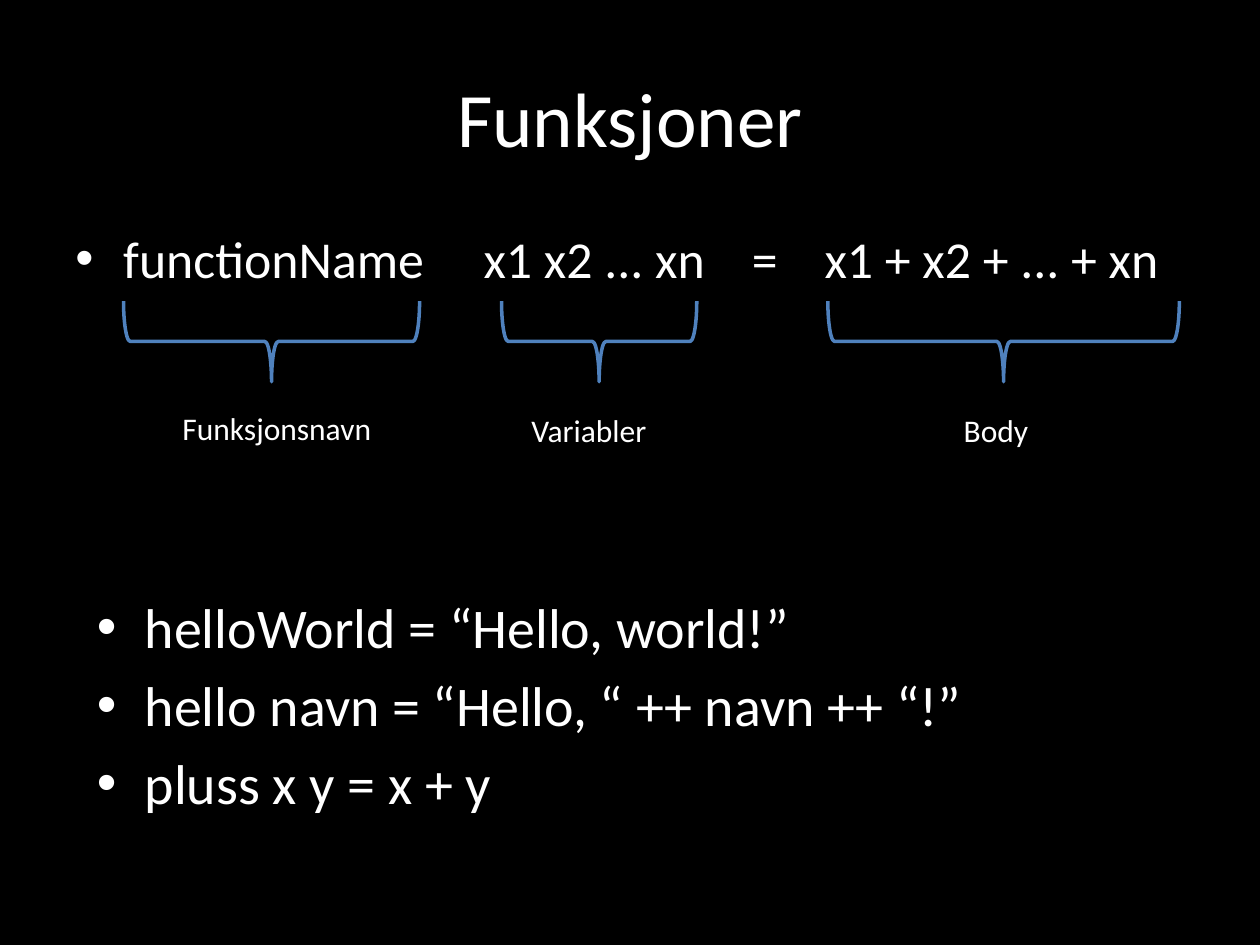
import pptx
import pptx.util
import pptx.dml.color
import pptx.enum.shapes
import pptx.enum.text
import pptx.oxml.ns
import lxml.etree

Inches, Pt = pptx.util.Inches, pptx.util.Pt
ALIGN, ANCHOR = pptx.enum.text.PP_ALIGN, pptx.enum.text.MSO_ANCHOR

# Content
TITLE = "Funksjoner"
SIGNATURE = ["functionName", "x1 x2 ... xn", "=", "x1 + x2 + ... + xn"]
SIGNATURE_GAPS = [27, 20, 20]  # extra points after each part
EXAMPLES = [
    "helloWorld = “Hello, world!”",
    "hello navn = “Hello, “ ++ navn ++ “!”",
    "pluss x y = x + y",
]
# Brace left and width, then label, its left, top and width
PARTS = [
    (0.98, 2.35, "Funksjonsnavn", 1.35, 3.2, 1.8),
    (3.98, 1.55, "Variabler", 4.12, 3.21, 1.4),
    (6.57, 2.79, "Body", 7.55, 3.21, 0.89),
]
BRACE_MIDDLE, BRACE_DEPTH = 2.71, 0.64
WHITE, BLACK, BLUE = "FFFFFF", "000000", "4F81BD"


def color(value):
    return pptx.dml.color.RGBColor.from_string(value)


def add_run(paragraph, text, size):
    run = paragraph.add_run()
    run.text = text
    for name, value in {"name": "Calibri", "size": Pt(size)}.items():
        setattr(run.font, name, value)
    run.font.color.rgb = color(WHITE)
    return run


def add_frame(left, top, width, height, **settings):
    box = slide.shapes.add_textbox(*map(Inches, (left, top, width, height)))
    frame = box.text_frame
    for name, value in {"word_wrap": True, **settings}.items():
        setattr(frame, name, value)
    return frame


def add_bullet(paragraph, size):
    paragraph.space_before = Pt(size * 0.2)
    properties = paragraph._p.get_or_add_pPr()
    properties.set("marL", str(Inches(0.38)))
    properties.set("indent", str(-Inches(0.38)))
    for tag, name, value in (("a:buFont", "typeface", "Arial"), ("a:buChar", "char", "•")):
        lxml.etree.SubElement(properties, pptx.oxml.ns.qn(tag)).set(name, value)


presentation = pptx.Presentation()
presentation.slide_width, presentation.slide_height = Inches(10), Inches(7.5)
slide = presentation.slides.add_slide(presentation.slide_layouts[6])
slide.background.fill.solid()
slide.background.fill.fore_color.rgb = color(BLACK)

# Title
paragraph = add_frame(0.5, 0.3, 9, 1.25, vertical_anchor=ANCHOR.MIDDLE).paragraphs[0]
paragraph.alignment = ALIGN.CENTER
add_run(paragraph, TITLE, 44)

# Function signature, with widened spaces between its parts
paragraph = add_frame(0.5, 1.75, 9, 0.81).paragraphs[0]
add_bullet(paragraph, 29.6)
for index, part in enumerate(SIGNATURE):
    if index:
        space = add_run(paragraph, " ", 29.6)
        space.font._element.set("spc", str(SIGNATURE_GAPS[index - 1] * 100))
    add_run(paragraph, part, 29.6)

# Braces and their labels
for left, width, label, label_left, label_top, label_width in PARTS:
    # A quarter turn swaps the sides around the shared middle
    brace = slide.shapes.add_shape(
        pptx.enum.shapes.MSO_SHAPE.RIGHT_BRACE,
        Inches(left + (width - BRACE_DEPTH) / 2), Inches(BRACE_MIDDLE - width / 2),
        Inches(BRACE_DEPTH), Inches(width))
    brace.rotation = 90
    brace.shadow.inherit = False
    brace.fill.background()
    brace.line.color.rgb = color(BLUE)
    brace.line.width = Pt(2)
    frame = add_frame(label_left, label_top, label_width, 0.4)
    add_run(frame.paragraphs[0], label, 18)

# Examples
frame = add_frame(0.67, 4.65, 9, 2.53)
for index, example in enumerate(EXAMPLES):
    paragraph = frame.add_paragraph() if index else frame.paragraphs[0]
    add_bullet(paragraph, 32)
    add_run(paragraph, example, 32)

presentation.save("out.pptx")
